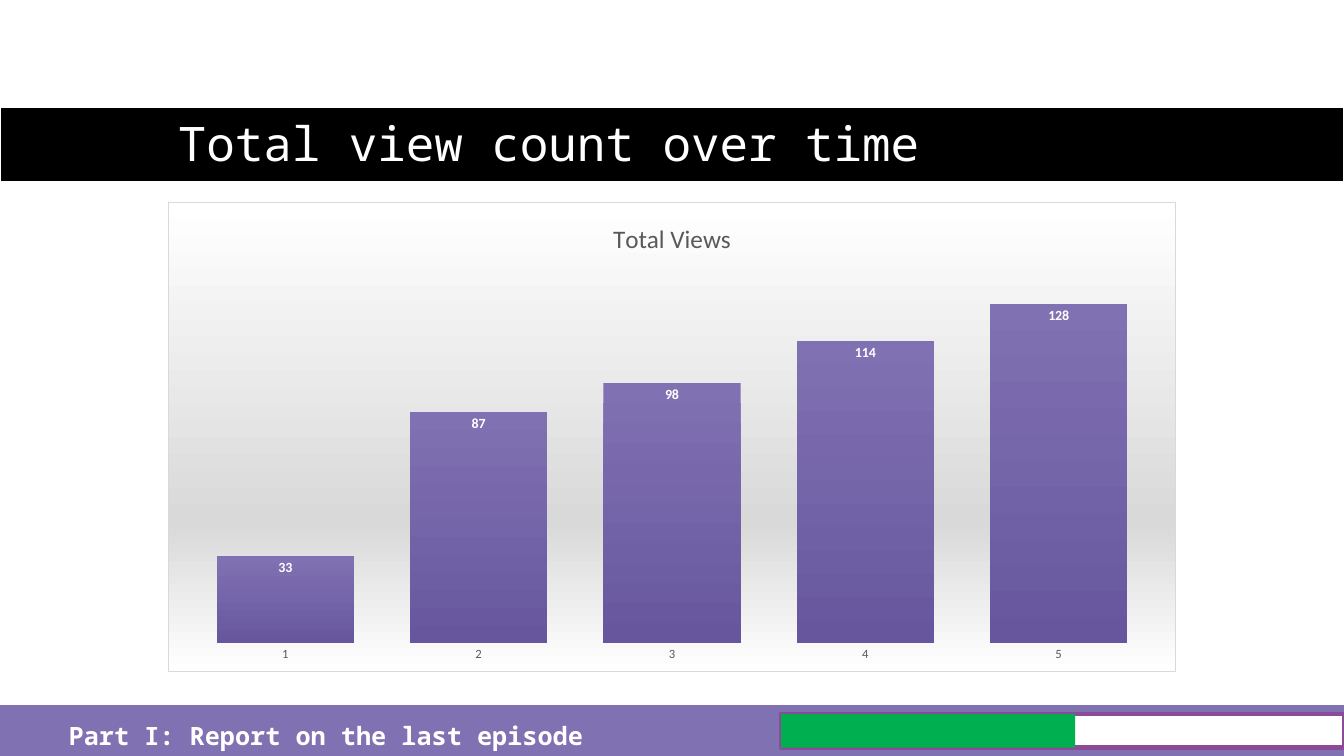
from pptx import Presentation, util as u
from pptx.chart.data import CategoryChartData
from pptx.dml.color import RGBColor
from pptx.enum import chart as charts, shapes, text
from pptx.oxml import parse_xml
from pptx.oxml.ns import nsdecls, qn

WIDTH, HEIGHT = 13.33, 7.5
COLUMNS, ROWS = 16, 90  # one column is 0.83 inches, one row 0.08 inches

BLACK = RGBColor(0x00, 0x00, 0x00)
WHITE = RGBColor(0xFF, 0xFF, 0xFF)
GREY = RGBColor(0x59, 0x59, 0x59)
SILVER = RGBColor(0xD9, 0xD9, 0xD9)
LILAC = RGBColor(0x80, 0x71, 0xB2)
VIOLET = RGBColor(0x67, 0x56, 0x9E)
PLUM = RGBColor(0x8C, 0x4B, 0x97)
GREEN = RGBColor(0x00, 0xB0, 0x50)

VIEWS = {"1": 33, "2": 87, "3": 98, "4": 114, "5": 128}


def downward_gradient(stops, border=None):
    """Chart shape properties: (percent, colour) stops from top to bottom."""
    marks = "".join(
        f'<a:gs pos="{percent * 1000}"><a:srgbClr val="{color}"/></a:gs>'
        for percent, color in stops)
    line = (f'<a:ln w="{u.Pt(0.75)}"><a:solidFill><a:srgbClr val="{border}"/>'
            '</a:solidFill></a:ln>' if border else '<a:ln><a:noFill/></a:ln>')
    return parse_xml(
        f'<c:spPr {nsdecls("c", "a")}><a:gradFill><a:gsLst>{marks}</a:gsLst>'
        f'<a:lin ang="5400000" scaled="0"/></a:gradFill>{line}</c:spPr>')


class ReportPage:
    """Holds the text style and the current slide; places things on the grid."""

    heading_font = "Noto Sans Mono"
    chart_font = "Calibri"

    def __init__(self, deck):
        self.page = deck.slides.add_slide(deck.slide_layouts[6])

    def place(self, column, row, columns, rows):
        return (u.Inches(column * WIDTH / COLUMNS), u.Inches(row * HEIGHT / ROWS),
                u.Inches(columns * WIDTH / COLUMNS), u.Inches(rows * HEIGHT / ROWS))

    def style(self, font, name, size, color, bold=False):
        font.name, font.size, font.bold = name, u.Pt(size), bold
        font.color.rgb = color

    def bar(self, *cells, fill, line=None, weight=1):
        box = self.page.shapes.add_shape(
            shapes.MSO_SHAPE.RECTANGLE, *self.place(*cells))
        box.shadow.inherit = False
        box.fill.solid()
        box.fill.fore_color.rgb = fill
        if line is None:
            box.line.fill.background()
        else:
            box.line.color.rgb = line
            box.line.width = u.Pt(weight)

    def label(self, *cells, words, size, bold=False, spacing=1.0,
              anchor=text.MSO_ANCHOR.TOP):
        frame = self.page.shapes.add_textbox(*self.place(*cells)).text_frame
        frame.word_wrap = True
        frame.vertical_anchor = anchor
        frame.text = words
        para = frame.paragraphs[0]
        para.line_spacing = spacing
        self.style(para.runs[0].font, self.heading_font, size, WHITE, bold)

    def column_chart(self, *cells, title, values):
        data = CategoryChartData()
        data.categories = list(values)
        data.add_series("Series 1", list(values.values()))
        chart = self.page.shapes.add_chart(
            charts.XL_CHART_TYPE.COLUMN_CLUSTERED, *self.place(*cells), data).chart
        self.style(chart.font, self.chart_font, 10, BLACK)
        chart.has_legend = False

        chart.has_title = True
        chart.chart_title.text_frame.text = title
        span = chart.chart_title.text_frame.paragraphs[0].runs[0]
        self.style(span.font, self.chart_font, 18, GREY)

        days, scale = chart.category_axis, chart.value_axis
        days.major_tick_mark = charts.XL_TICK_MARK.NONE
        days.format.line.fill.background()
        self.style(days.tick_labels.font, self.chart_font, 9, GREY)
        scale.minimum_scale, scale.maximum_scale = 0, 140
        scale.has_major_gridlines = False
        scale.visible = False

        plot = chart.plots[0]
        plot.gap_width = 41
        plot.vary_by_categories = False
        plot.has_data_labels = True
        plot.data_labels.show_value = True
        plot.data_labels.position = charts.XL_LABEL_POSITION.INSIDE_END
        self.style(plot.data_labels.font, self.chart_font, 10, WHITE, bold=True)

        series = plot.series[0]._element
        series.find(qn("c:tx")).addnext(
            downward_gradient([(0, LILAC), (100, VIOLET)]))
        chart._chartSpace.find(qn("c:chart")).addnext(downward_gradient(
            [(0, WHITE), (68, SILVER), (100, WHITE)], border=SILVER))


def main():
    deck = Presentation()
    deck.slide_width, deck.slide_height = u.Inches(WIDTH), u.Inches(HEIGHT)
    report = ReportPage(deck)

    report.bar(0, 12.7, 16, 9, fill=BLACK, line=WHITE, weight=1.5)
    report.bar(0, 84, 16, 6, fill=LILAC, line=LILAC)
    report.label(2, 6, 12, 15, words="Total view count over time", size=34,
                 spacing=0.9, anchor=text.MSO_ANCHOR.BOTTOM)
    report.label(0.7, 85.2, 6.5, 4.8, words="Part I: Report on the last episode",
                 size=18, bold=True)

    report.bar(9.3, 85, 6.7, 4, fill=WHITE, line=PLUM, weight=3)
    report.bar(9.3, 85, 3.5, 4, fill=GREEN)

    report.column_chart(2, 24, 12, 56, title="Total Views", values=VIEWS)
    deck.save("out.pptx")


if __name__ == "__main__":
    main()
